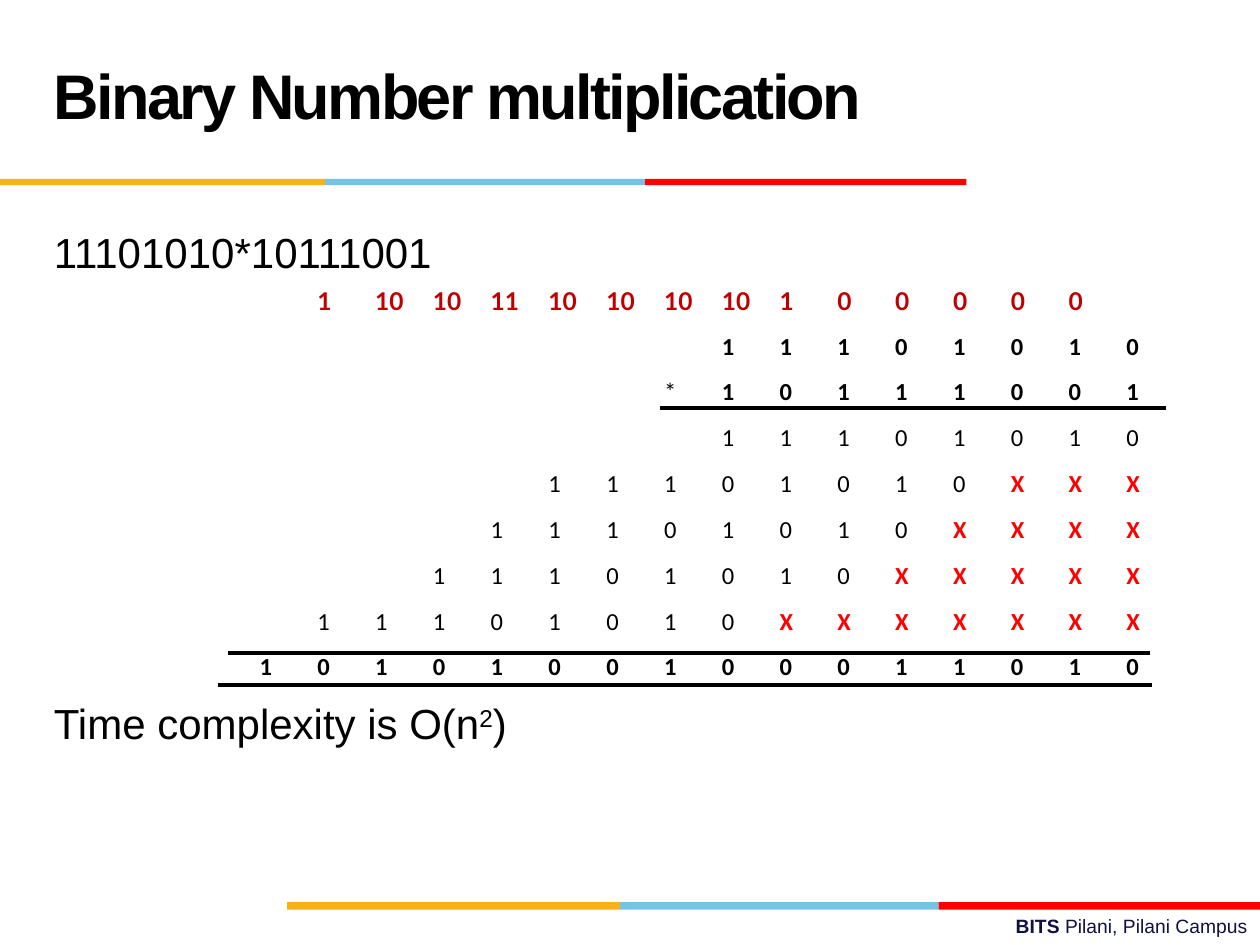
"""Build the slide on binary number multiplication."""
import pptx
import pptx.dml.color
import pptx.enum.shapes
import pptx.enum.text
import pptx.util
from lxml import etree
from pptx.oxml.ns import qn

COLORS = {"ink": "000000", "navy": "101141", "carry": "C00000", "red": "FF0000",
          "amber": "FCB017", "sky": "76C2E5"}
TITLE = "Binary Number multiplication"
PROBLEM = "11101010*10111001"
COMPLEXITY = [("Time complexity is O(n", {}), ("2", {"raised": True}), (")", {})]
CAMPUS = [("BITS ", {"bold": True}), ("Pilani, Pilani Campus", {})]
CARRIES = ["1", "10", "10", "11", "10", "10", "10", "10", "1", "0", "0", "0", "0", "0", ""]
MULTIPLICAND, MULTIPLIER = "11101010", "10111001"
PRODUCT = "1010100100011010"
SHIFTS = [0, 3, 4, 5, 7]
BANDS = [(1.42, 0.05, [0, 2.58, 5.12, 7.67]), (7.16, 0.06, [2.28, 4.92, 7.45, 10])]
RULES = [(5.24, 3.24, 9.25), (1.81, 5.18, 9.13), (1.73, 5.44, 9.14)]

COLUMNS, TABLE_ROWS = 16, 10
TABLE_LEFT, TABLE_TOP, TABLE_WIDTH, TABLE_HEIGHT = 1.99, 2.23, 7.34, 3.64
MARGIN = 0.33
inch = pptx.util.Inches


def rgb(name):
    return pptx.dml.color.RGBColor.from_string(COLORS[name])


def write(paragraph, text, size=24, color="ink", bold=False, font="Arial",
          spacing=None, raised=False):
    run = paragraph.add_run()
    run.text = text
    run.font.size = pptx.util.Pt(size)
    run.font.name = font
    run.font.bold = bold
    run.font.color.rgb = rgb(color)
    properties = run.font._element
    if spacing is not None:
        properties.set("spc", str(spacing))
    if raised:
        properties.set("baseline", "30000")


def add_text(slide, box, runs, align="LEFT", anchor="TOP", leading=None, **style):
    frame = slide.shapes.add_textbox(*map(inch, box)).text_frame
    frame.word_wrap = True
    frame.vertical_anchor = getattr(pptx.enum.text.MSO_ANCHOR, anchor)
    paragraph = frame.paragraphs[0]
    paragraph.alignment = getattr(pptx.enum.text.PP_ALIGN, align)
    if leading:
        paragraph.line_spacing = pptx.util.Pt(leading)
    for text, extra in runs:
        write(paragraph, text, **{**style, **extra})


def add_band(slide, top, height, edges):
    for left, right, color in zip(edges, edges[1:], ("amber", "sky", "red")):
        stripe = slide.shapes.add_shape(
            pptx.enum.shapes.MSO_SHAPE.RECTANGLE,
            inch(left), inch(top), inch(right - left), inch(height))
        stripe.shadow.inherit = False
        stripe.fill.solid()
        stripe.fill.fore_color.rgb = rgb(color)
        stripe.line.fill.background()


def add_rule(slide, left, top, right):
    rule = slide.shapes.add_connector(
        pptx.enum.shapes.MSO_CONNECTOR.STRAIGHT,
        inch(left), inch(top), inch(right), inch(top))
    rule.line.color.rgb = rgb("ink")
    rule.line.width = pptx.util.Pt(2.25)
    etree.SubElement(rule._element.spPr, qn("a:effectLst"))


def working_rows():
    partials = [MULTIPLICAND + "X" * shift for shift in SHIFTS]
    return [(CARRIES, {"color": "carry", "bold": True, "font": "Lato"}),
            (MULTIPLICAND, {"bold": True}),
            ("*" + MULTIPLIER, {"bold": True}),
            *((partial, {}) for partial in partials),
            (PRODUCT, {"bold": True})]


def clear_cell(cell):
    cell.fill.background()
    cell.margin_left = cell.margin_right = inch(0.07)
    cell.margin_top = cell.margin_bottom = inch(0.04)
    properties = cell._tc.get_or_add_tcPr()
    for position, side in enumerate(("a:lnL", "a:lnR", "a:lnT", "a:lnB")):
        border = etree.Element(qn(side), w="0")
        etree.SubElement(border, qn("a:noFill"))
        properties.insert(position, border)


def add_working(slide):
    table = slide.shapes.add_table(
        TABLE_ROWS, COLUMNS, inch(TABLE_LEFT), inch(TABLE_TOP),
        inch(TABLE_WIDTH), inch(TABLE_HEIGHT)).table
    table.first_row = table.horz_banding = False
    special = {"X": {"color": "red", "bold": True}, "*": {"bold": False}}
    for row, (entries, style) in enumerate(working_rows()):
        for column, entry in enumerate(entries, COLUMNS - len(entries)):
            if entry:
                write(table.cell(row, column).text_frame.paragraphs[0], entry,
                      **{"size": 14, "font": "Calibri", **style, **special.get(entry, {})})
    for cell in table.iter_cells():
        clear_cell(cell)
        if not cell.text:
            etree.SubElement(cell.text_frame.paragraphs[0]._p, qn("a:endParaRPr"), sz="1400")


def main():
    deck = pptx.Presentation()
    deck.slide_width, deck.slide_height = inch(10), inch(7.5)
    slide = deck.slides.add_slide(deck.slide_layouts[6])
    add_text(slide, (3.58, 7.21, 6.42, 0.29), CAMPUS, align="RIGHT", size=11, color="navy")
    for band in BANDS:
        add_band(slide, *band)
    add_working(slide)
    add_text(slide, (MARGIN, 0.17, 6.92, 1.25), [(TITLE, {})], anchor="MIDDLE",
             leading=36, size=36, bold=True, spacing=-150)
    add_text(slide, (MARGIN, 1.75, 9, 0.48), [(PROBLEM, {})])
    add_text(slide, (MARGIN, 5.49, 9, 0.48), COMPLEXITY)
    for rule in RULES:
        add_rule(slide, *rule)
    deck.save("out.pptx")


if __name__ == "__main__":
    main()
